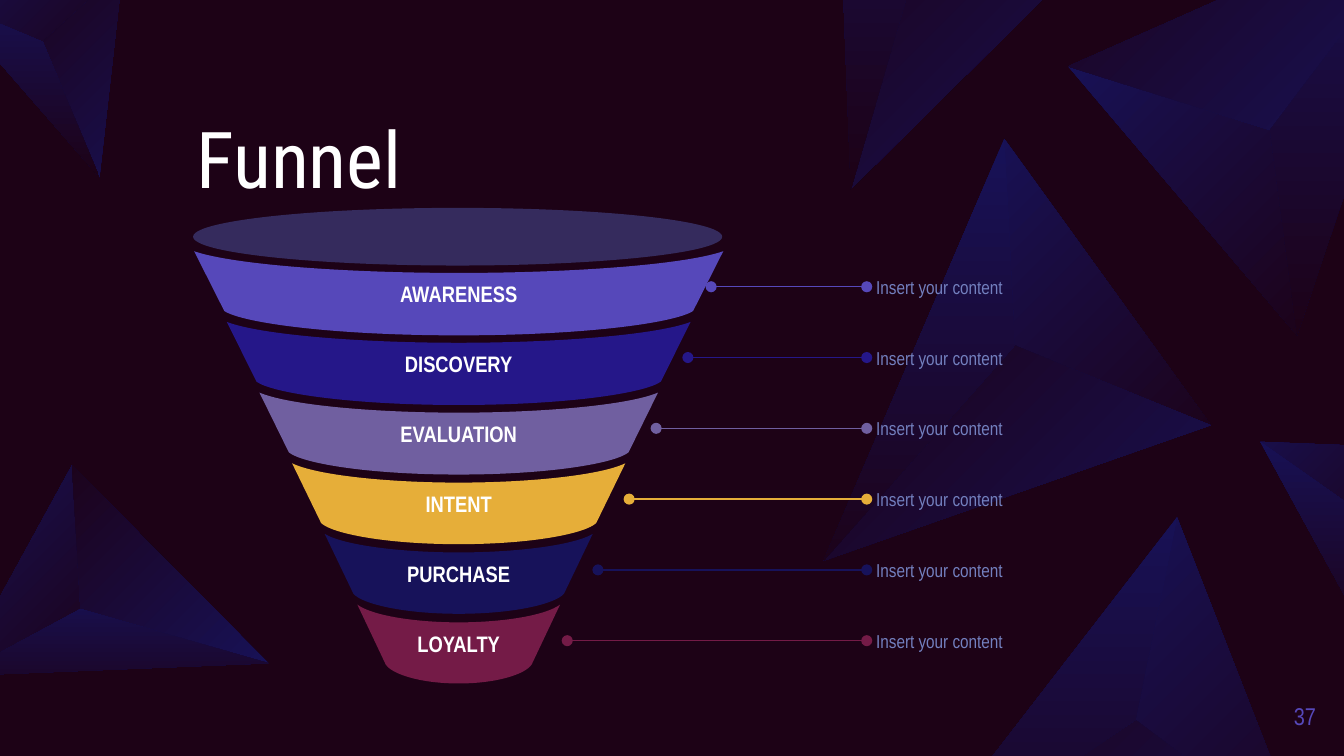
from dataclasses import dataclass
from math import cos, radians, sin

from lxml import etree
from pptx import Presentation
from pptx.dml.color import RGBColor
from pptx.enum.shapes import MSO_CONNECTOR, MSO_SHAPE
from pptx.enum.text import MSO_ANCHOR, MSO_AUTO_SIZE, PP_ALIGN
from pptx.oxml.ns import qn
from pptx.util import Cm, Pt

LEFT, CENTER, RIGHT = PP_ALIGN.LEFT, PP_ALIGN.CENTER, PP_ALIGN.RIGHT
MIDDLE, BOTTOM = MSO_ANCHOR.MIDDLE, MSO_ANCHOR.BOTTOM
NO_AUTOFIT = MSO_AUTO_SIZE.NONE
ELLIPSE, STRAIGHT = MSO_SHAPE.OVAL, MSO_CONNECTOR.STRAIGHT


@dataclass(frozen=True)
class Theme:
    background: str = "1D0216"
    facet: str = "17125A"
    white: str = "FFFFFF"
    rim: str = "352B5D"
    note: str = "7380BF"
    number: str = "5648BA"
    title_font: str = "Roboto Condensed"
    body_font: str = "Arial Narrow"
    title_size: float = 42
    number_size: float = 13
    label_size: float = 12
    note_size: float = 10
    line_width: float = 0.75


theme = Theme()


def add_outline(points):
    corners = [(Cm(x), Cm(y)) for x, y in points]
    builder = slide.shapes.build_freeform(*corners[0], scale=1.0)
    builder.add_line_segments(corners[1:], close=True)
    shape = builder.convert_to_shape()
    shape.shadow.inherit = False
    shape.line.fill.background()
    return shape


def write_text(shape, text, size, color, alignment, anchor=MIDDLE,
               font=theme.body_font, bold=False, margin=0):
    frame = shape.text_frame
    frame.word_wrap = True
    frame.auto_size = NO_AUTOFIT
    frame.vertical_anchor = anchor
    frame.margin_left = frame.margin_right = Cm(margin)
    frame.margin_top = frame.margin_bottom = Cm(margin / 2)
    paragraph = frame.paragraphs[0]
    paragraph.alignment = alignment
    run = paragraph.add_run()
    run.text = text
    run.font.name = font
    run.font.size = Pt(size)
    run.font.bold = bold
    run.font.color.rgb = RGBColor.from_string(color)
    return paragraph


presentation = Presentation()
presentation.slide_width = Cm(25.4)
presentation.slide_height = Cm(14.29)
slide = presentation.slides.add_slide(presentation.slide_layouts[5])
slide.background.fill.solid()
slide.background.fill.fore_color.rgb = RGBColor.from_string(theme.background)

peak, tip, foot, wing = (0, 0), (3.72, -1.21), (-0.49, 3.97), (-4.87, -2.43)
faces = {
    "front": ([tip, foot, peak], 315),
    "side": ([foot, wing, peak], 135),
    "base": ([tip, peak, wing], 270),
}
pyramids = [
    (24.0, 2.46, 1, 100.5, ("front", "side", "base")),
    (1.52, 11.51, 0.68, 169.6, ("front", "side", "base")),
    (19.18, 6.53, 1, 285.1, ("front", "side", "base")),
    (21.46, 13.61, 1, 299.6, ("front", "side", "base")),
    (25.45, 9.5, 0.51, 233.2, ("front", "base")),
    (17.6, -1.65, 1, 259.7, ("side", "base")),
    (0.81, 0.79, 0.51, 220.8, ("front", "side", "base")),
]
for peak_x, peak_y, scale, rotation, visible_faces in pyramids:
    cosine, sine = cos(radians(rotation)), sin(radians(rotation))
    for face in visible_faces:
        corners, gradient_angle = faces[face]
        corners = [(x * scale, y * scale) for x, y in corners]
        middle_x, middle_y = [(min(axis) + max(axis)) / 2 for axis in zip(*corners)]
        shift_x = peak_x + middle_x * cosine - middle_y * sine - middle_x
        shift_y = peak_y + middle_x * sine + middle_y * cosine - middle_y
        shape = add_outline([(x + shift_x, y + shift_y) for x, y in corners])
        shape.rotation = rotation
        shape.fill.gradient()
        shape.fill.gradient_angle = gradient_angle
        shape._element.spPr.find(qn("a:gradFill")).set("rotWithShape", "0")
        for stop, position, color in zip(shape.fill.gradient_stops, (0, 1),
                                         (theme.facet, theme.background)):
            stop.position = position
            stop.color.rgb = RGBColor.from_string(color)

title = slide.shapes.title
title.left, title.top, title.width, title.height = Cm(3.71), Cm(2.24), Cm(17.98), Cm(1.65)
paragraph = write_text(title, "Funnel", theme.title_size, theme.white, LEFT,
                       anchor=BOTTOM, font=theme.title_font)
paragraph.line_spacing = 0.9

number = slide.shapes.add_textbox(Cm(23.75), Cm(12.98), Cm(1.12), Cm(1.09))
write_text(number, "37", theme.number_size, theme.number, RIGHT)

center_x = 8.67
stages = [
    ("AWARENESS", "5648BA", 13.44),
    ("DISCOVERY", "251789", 13.0),
    ("EVALUATION", "705FA0", 12.4),
    ("INTENT", "E6AE39", 11.89),
    ("PURCHASE", "17125A", 11.3),
    ("LOYALTY", "741B47", 10.72),
]
for index, (label, color, line_start) in enumerate(stages):
    top = 4.75 + 1.336 * index
    wide, narrow = 5 - 0.617 * index, 4.43 - 0.61 * index
    top_sag, bottom_sag = 0.41 - 0.015 * index, 0.46 - 0.02 * index
    corner, lowest = top + 1.13, top + 1.13 + bottom_sag
    dip, bend = top + top_sag, corner + bottom_sag / 2
    band = add_outline([
        (center_x - wide, top), (center_x - narrow, corner), (center_x, lowest),
        (center_x + narrow, corner), (center_x + wide, top), (center_x, dip),
        (center_x - wide, top),
    ])
    curves = {
        1: [(-0.92 * narrow, bend), (-0.53 * narrow, lowest), (0, lowest)],
        2: [(0.53 * narrow, lowest), (0.92 * narrow, bend), (narrow, corner)],
        4: [(0.85 * wide, top + 0.63 * top_sag), (0.42 * wide, dip), (0, dip)],
        5: [(-0.42 * wide, dip), (-0.85 * wide, top + 0.63 * top_sag), (-wide, top)],
    }
    segments = list(band._element.spPr.iter(qn("a:lnTo")))
    for position, controls in curves.items():
        segment = segments[position]
        curve = etree.Element(qn("a:cubicBezTo"))
        for x, y in controls:
            etree.SubElement(curve, qn("a:pt"), x=str(Cm(x + wide)), y=str(Cm(y - top)))
        segment.getparent().replace(segment, curve)
    band.fill.solid()
    band.fill.fore_color.rgb = RGBColor.from_string(color)
    write_text(band, label, theme.label_size, theme.white, CENTER, bold=True, margin=0.18)

    line_y = 5.42 + 1.338 * index
    connector = slide.shapes.add_connector(
        STRAIGHT, Cm(line_start), Cm(line_y), Cm(16.38), Cm(line_y))
    connector.line.color.rgb = RGBColor.from_string(color)
    connector.line.width = Pt(theme.line_width)
    line = connector.line._get_or_add_ln()
    for end in ("a:headEnd", "a:tailEnd"):
        etree.SubElement(line, qn(end), type="oval")
    etree.SubElement(connector._element.spPr, qn("a:effectLst"))

    note = slide.shapes.add_textbox(Cm(16.56), Cm(line_y - 0.48), Cm(7.75), Cm(0.97))
    write_text(note, "Insert your content", theme.note_size, theme.note, LEFT)

rim = slide.shapes.add_shape(ELLIPSE, Cm(3.65), Cm(3.93), Cm(10), Cm(1.09))
rim.shadow.inherit = False
rim.fill.solid()
rim.fill.fore_color.rgb = RGBColor.from_string(theme.rim)
rim.line.fill.background()

presentation.save("out.pptx")
